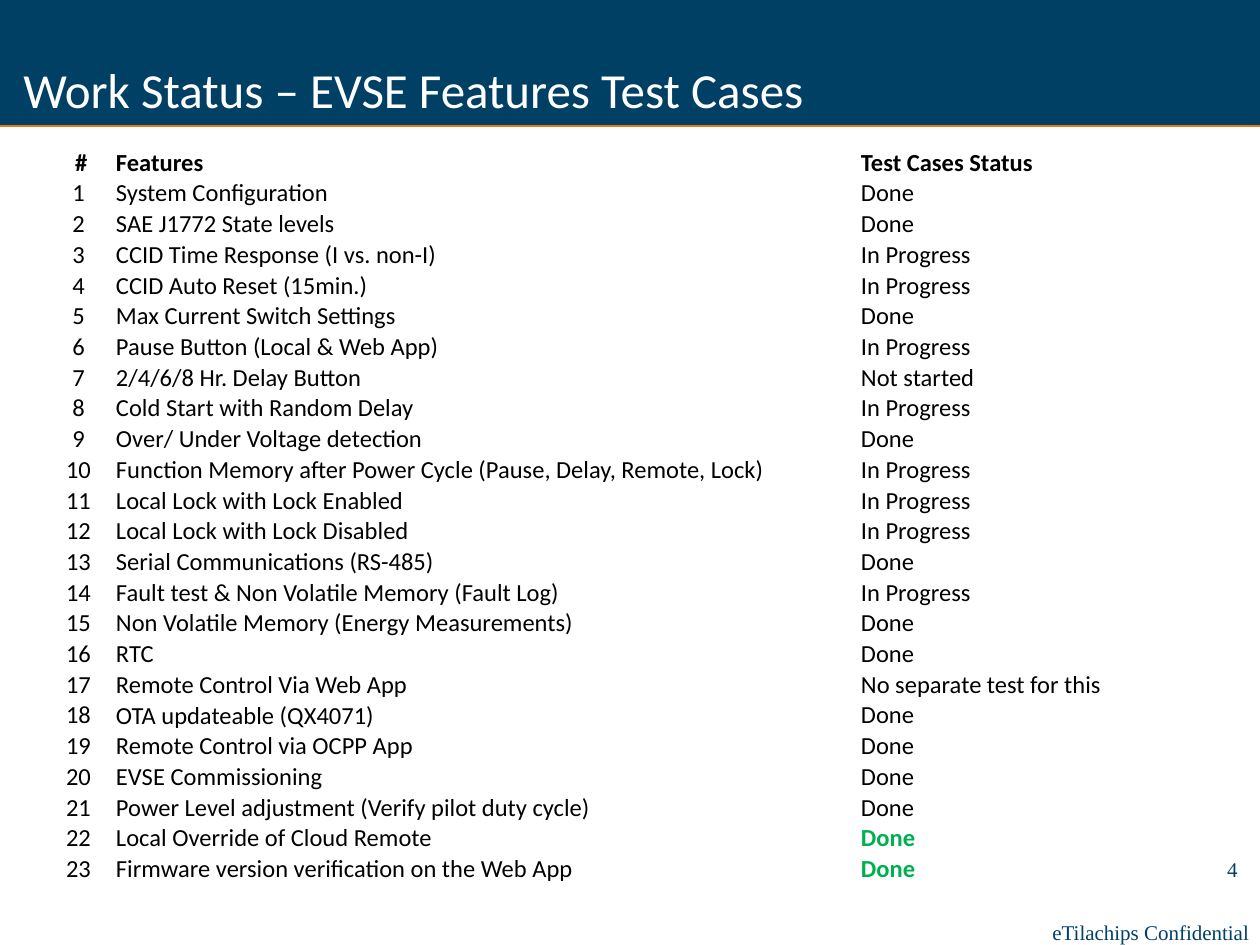
from pptx import Presentation
from pptx.dml.color import RGBColor
from pptx.enum.shapes import MSO_CONNECTOR, MSO_SHAPE
from pptx.enum.text import MSO_ANCHOR, PP_ALIGN
from pptx.oxml.ns import qn
from pptx.util import Emu, Pt
from lxml.etree import SubElement

SCALE = 914400 / 126
INK = {"navy": "004065", "rust": "E77817", "white": "FFFFFF", "black": "000000", "green": "00B050"}
COLS = (73, 745, 358)
HEAD = ("\N{NO-BREAK SPACE}#", "Features", "Test Cases Status")
TASKS = [
    ("System Configuration", "Done"),
    ("SAE J1772 State levels", "Done"),
    ("CCID Time Response (I vs. non-I)", "In Progress"),
    ("CCID Auto Reset (15min.)", "In Progress"),
    ("Max Current Switch Settings", "Done"),
    ("Pause Button (Local & Web App)", "In Progress"),
    ("2/4/6/8 Hr. Delay Button", "Not started"),
    ("Cold Start with Random Delay", "In Progress"),
    ("Over/ Under Voltage detection", "Done"),
    ("Function Memory after Power Cycle (Pause, Delay, Remote, Lock)", "In Progress"),
    ("Local Lock with Lock Enabled", "In Progress"),
    ("Local Lock with Lock Disabled", "In Progress"),
    ("Serial Communications (RS-485)", "Done"),
    ("Fault test & Non Volatile Memory (Fault Log)", "In Progress"),
    ("Non Volatile Memory (Energy Measurements)", "Done"),
    ("RTC", "Done"),
    ("Remote Control Via Web App", "No separate test for this"),
    ("OTA updateable (QX4071)", "Done"),
    ("Remote Control via OCPP App", "Done"),
    ("EVSE Commissioning", "Done"),
    ("Power Level adjustment (Verify pilot duty cycle)", "Done"),
    ("Local Override of Cloud Remote", "Done"),
    ("Firmware version verification on the Web App", "Done"),
]
FRESH = (22, 23)


def px(num):
    return Emu(round(num * SCALE))


def tint(name):
    return RGBColor.from_string(INK[name])


def write(frame, text, size, font, color, bold=False, align=PP_ALIGN.LEFT):
    para = frame.paragraphs[0]
    para.alignment = align
    run = para.add_run()
    run.text = text
    run.font.size = Pt(size)
    run.font.name = font
    run.font.bold = bold
    run.font.color.rgb = tint(color)


def label(slide, box, *args, **style):
    frame = slide.shapes.add_textbox(*map(px, box)).text_frame
    frame.word_wrap = True
    write(frame, *args, **style)


def banner(slide, left, top, width, height):
    bar = slide.shapes.add_shape(MSO_SHAPE.RECTANGLE, *map(px, (left, top, width, height)))
    bar.shadow.inherit = False
    bar.fill.solid()
    bar.fill.fore_color.rgb = tint("navy")
    bar.line.fill.background()
    base = top + height
    rule = slide.shapes.add_connector(
        MSO_CONNECTOR.STRAIGHT, *map(px, (left, base, left + width, base)))
    rule.line.color.rgb = tint("rust")
    rule.line.width = Pt(0.75)
    SubElement(rule.element.spPr, qn("a:effectLst"))
    label(slide, (left, top + 53, 1134, 104),
          " Work Status – EVSE Features Test Cases", 28, "Calibri", "white")


def footer(slide, left, top, width, height):
    label(slide, (left, top + 63, width, 38),
          "eTilachips Confidential", 12, "Times New Roman", "navy")
    label(slide, (left + 132, top, 78, 38),
          "4", 12, "Times New Roman", "navy", align=PP_ALIGN.RIGHT)


def border(cell):
    props = cell._tc.get_or_add_tcPr()
    for side in ("lnL", "lnR", "lnT", "lnB"):
        line = SubElement(props, qn("a:" + side), w=str(Pt(1)))
        fill = SubElement(line, qn("a:solidFill"))
        SubElement(fill, qn("a:srgbClr"), val=INK["white"])


def dress(cell, mid):
    border(cell)
    cell.fill.solid()
    cell.fill.fore_color.rgb = tint("white")
    cell.margin_left = cell.margin_right = cell.margin_top = px(1)
    cell.margin_bottom = 0
    cell.vertical_anchor = MSO_ANCHOR.MIDDLE if mid else MSO_ANCHOR.BOTTOM


def status(slide, left, top, width, height):
    rows = [HEAD] + [(str(num), *task) for num, task in enumerate(TASKS, 1)]
    table = slide.shapes.add_table(
        len(rows), len(COLS), *map(px, (left, top, width, height))).table
    table.first_row = table.horz_banding = False
    for col, wide in zip(table.columns, COLS):
        col.width = px(wide)
    for r, row in enumerate(rows):
        for c, text in enumerate(row):
            cell = table.cell(r, c)
            dress(cell, r > 0 and c == 1)
            fresh = r in FRESH and c == 2
            write(cell.text_frame, text, 14, "Calibri", "green" if fresh else "black",
                  bold=r == 0 or fresh, align=PP_ALIGN.LEFT if c else PP_ALIGN.CENTER)


def main():
    deck = Presentation()
    deck.slide_width, deck.slide_height = px(1260), px(945)
    slide = deck.slides.add_slide(deck.slide_layouts[6])
    banner(slide, 0, 0, 1260, 126)
    footer(slide, 1040, 850, 224, 101)
    status(slide, 42, 147, 1176, 737)
    deck.save("out.pptx")


if __name__ == "__main__":
    main()
